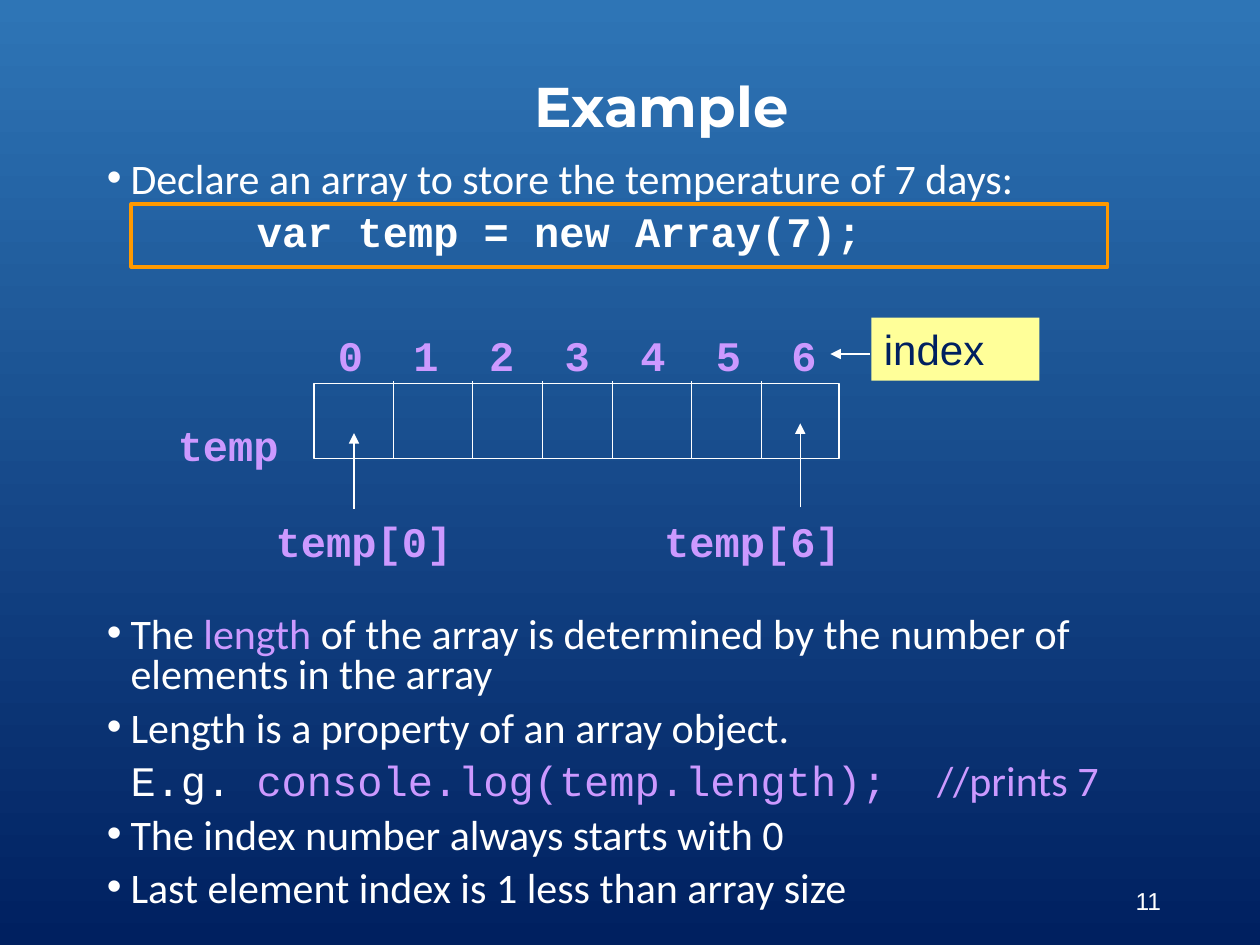
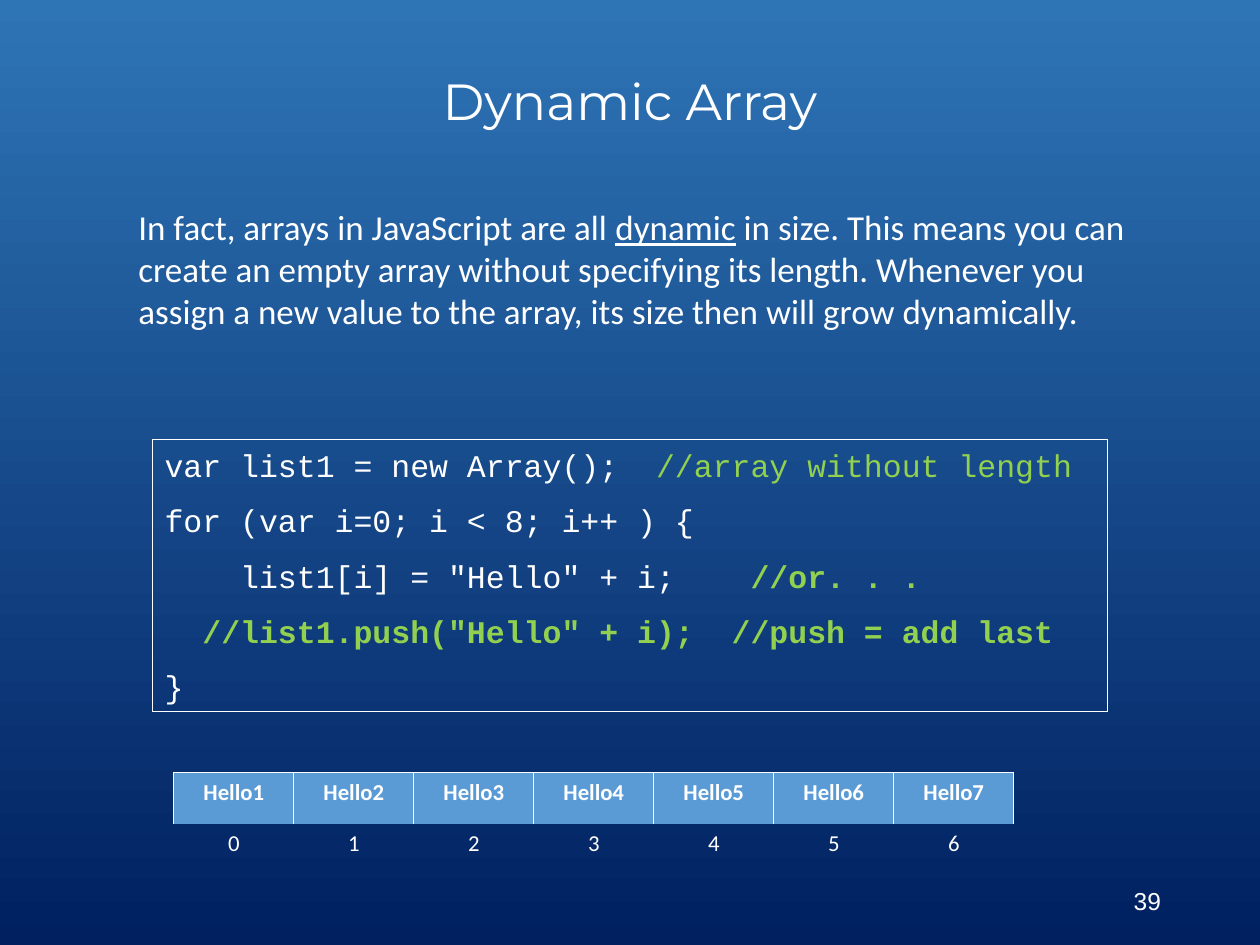
"""Build two lecture slides about array basics and dynamic arrays."""
from dataclasses import dataclass

from lxml import etree
from pptx import Presentation
from pptx.dml.color import RGBColor
from pptx.enum import shapes, text
from pptx.oxml import ns
from pptx.util import Pt


@dataclass(frozen=True)
class Theme:
    sky: RGBColor = RGBColor.from_string("2E75B6")
    navy: RGBColor = RGBColor.from_string("002060")
    white: RGBColor = RGBColor.from_string("FFFFFF")
    violet: RGBColor = RGBColor.from_string("CC99FF")
    orange: RGBColor = RGBColor.from_string("FF9900")
    yellow: RGBColor = RGBColor.from_string("FFFF99")
    green: RGBColor = RGBColor.from_string("92D050")
    blue: RGBColor = RGBColor.from_string("5B9BD5")
    heading: str = "Montserrat"
    body: str = "Calibri"
    code: str = "Courier New"
    label: str = "Arial"
    bold_title: int = 32
    plain_title: int = 29
    large: int = 24
    medium: int = 20
    listing: int = 18
    footer: int = 14
    small: int = 13


theme = Theme()


def add_frame(slide, bounds, fill=None, outline=None, weight=0.75):
    """Add a text box, or a rectangle if filled or outlined; return its text frame."""
    bounds = [Pt(length) for length in bounds]
    if fill is None and outline is None:
        shape = slide.shapes.add_textbox(*bounds)
    else:
        shape = slide.shapes.add_shape(shapes.MSO_SHAPE.RECTANGLE, *bounds)
        shape.shadow.inherit = False
        if fill is None:
            shape.fill.background()
        else:
            shape.fill.solid()
            shape.fill.fore_color.rgb = fill
        if outline is None:
            shape.line.fill.background()
        else:
            shape.line.color.rgb = outline
            shape.line.width = Pt(weight)
    frame = shape.text_frame
    frame.word_wrap = True
    frame.vertical_anchor = text.MSO_ANCHOR.TOP
    frame.paragraphs[0].alignment = text.PP_ALIGN.LEFT
    return frame


def add_run(paragraph, words, size, face=theme.body, color=theme.white, bold=False, underline=False):
    """Add one formatted run to a paragraph."""
    run = paragraph.add_run()
    run.text = words
    font = run.font
    font.size, font.name, font.bold, font.underline = Pt(size), face, bold, underline
    font.color.rgb = color


deck = Presentation()
deck.slide_width, deck.slide_height = Pt(720), Pt(540)

for heading, heading_size, heading_bold, heading_bounds, number in [
    ("Example", theme.bold_title, True, (102, 36, 552, 53), "11"),
    ("Dynamic Array", theme.plain_title, False, (0, 39.5, 720, 40), "39"),
]:
    slide = deck.slides.add_slide(deck.slide_layouts[6])
    backdrop = slide.background.fill
    backdrop.gradient()
    backdrop.gradient_angle = 270
    for stop, color in zip(backdrop.gradient_stops, (theme.sky, theme.navy)):
        stop.color.rgb = color
    title = add_frame(slide, heading_bounds)
    title.vertical_anchor = text.MSO_ANCHOR.MIDDLE
    title.paragraphs[0].alignment = text.PP_ALIGN.CENTER
    title.paragraphs[0].line_spacing = 0.9
    add_run(title.paragraphs[0], heading, heading_size, theme.heading, bold=heading_bold)
    footer = add_frame(slide, (508.5, 500.5, 162, 28.5))
    footer.vertical_anchor = text.MSO_ANCHOR.MIDDLE
    footer.paragraphs[0].alignment = text.PP_ALIGN.RIGHT
    add_run(footer.paragraphs[0], number, theme.footer, theme.label)

example, dynamic = deck.slides

points = add_frame(example, (54, 89, 630, 450))
white_body = (theme.body, theme.white)
violet_body = (theme.body, theme.violet)
for index, (bulleted, margin, space, runs) in enumerate([
    (True, 13.5, 0, [("Declare an array to store the temperature of 7 days:", *white_body)]),
    (False, 85.7, 7.5, [("var temp = new Array(7);", theme.code, theme.white, True)]),
    (True, 13.5, 206.5, [
        ("The ", *white_body),
        ("length", *violet_body),
        (" of the array is determined by the number of elements in the array", *white_body),
    ]),
    (True, 13.5, 7.5, [("Length is a property of an array object.", *white_body)]),
    (False, 13.5, 7.5, [
        ("E.g. ", theme.code, theme.white),
        ("console.log(temp.length);  ", theme.code, theme.violet),
        ("//prints 7", *violet_body),
    ]),
    (True, 13.5, 7.5, [("The index number always starts with 0", *white_body)]),
    (True, 13.5, 7.5, [("Last element index is 1 less than array size", *white_body)]),
]):
    point = points.add_paragraph() if index else points.paragraphs[0]
    settings = point._p.get_or_add_pPr()
    settings.set("marL", str(Pt(margin)))
    settings.set("indent", str(Pt(-13.5) if bulleted else 0))
    if bulleted:
        tint = etree.SubElement(settings, ns.qn("a:buClr"))
        etree.SubElement(tint, ns.qn("a:srgbClr"), val=str(theme.white))
        etree.SubElement(settings, ns.qn("a:buFont"), typeface=theme.label)
        etree.SubElement(settings, ns.qn("a:buChar"), char="•")
    point.line_spacing = 0.8
    point.space_before = Pt(space)
    for words, *style in runs:
        add_run(point, words, theme.large, *style)

indexes = add_frame(example, (186, 185, 294, 36)).paragraphs[0]
tabs = etree.SubElement(indexes._p.get_or_add_pPr(), ns.qn("a:tabLst"))
for step in range(1, 7):
    etree.SubElement(tabs, ns.qn("a:tab"), pos=str(Pt(43.2 * step)), algn="l")
add_run(indexes, "\t".join(str(i) for i in range(7)), theme.large, theme.code, theme.violet, True)

for words, left, top, width in [
    ("temp", 94.5, 236, 96),
    ("temp[0]", 150.5, 291, 138),
    ("temp[6]", 372.5, 291, 138),
]:
    name = add_frame(example, (left, top, width, 36)).paragraphs[0]
    add_run(name, words, theme.large, theme.code, theme.violet, True)

add_frame(example, (179.5, 219, 300, 43.2), outline=theme.white)
add_frame(example, (75, 116.5, 558, 36), outline=theme.orange, weight=2)
index_note = add_frame(example, (498, 181.5, 96, 36), fill=theme.yellow).paragraphs[0]
add_run(index_note, "index", theme.large, theme.label, theme.navy)

dividers = [(x, 218, x, 261.5, False) for x in (225, 270, 310, 350, 395, 435)]
pointers = [
    (202.3, 291, 202.3, 247.5, True),
    (457.3, 290, 457.3, 242, True),
    (497, 202.3, 474.5, 202.3, True),
]
for *ends, pointed in dividers + pointers:
    stroke = example.shapes.add_connector(shapes.MSO_CONNECTOR.STRAIGHT, *[Pt(end) for end in ends])
    stroke.line.color.rgb = theme.white
    stroke.line.width = Pt(0.75)
    outline = stroke._element.spPr
    if pointed:
        etree.SubElement(outline.find(ns.qn("a:ln")), ns.qn("a:tailEnd"), type="triangle")
    etree.SubElement(outline, ns.qn("a:effectLst"))

explanation = add_frame(dynamic, (24, 114, 630, 124.5)).paragraphs[0]
explanation._p.get_or_add_pPr().set("marL", str(Pt(48)))
add_run(explanation, "In fact, arrays in JavaScript are all ", theme.medium)
add_run(explanation, "dynamic", theme.medium, underline=True)
add_run(
    explanation,
    " in size. This means you can create an empty array without specifying its length. "
    "Whenever you assign a new value to the array, its size then will grow dynamically.",
    theme.medium,
)

listing = add_frame(dynamic, (87, 251.3, 546, 155.5), outline=theme.white)
for index, runs in enumerate([
    [("var list1 = new Array();  ", theme.white), ("//array without length", theme.green)],
    [("for (var i=0; i < 8; i++ ) {", theme.white)],
    [('    list1[i] = "Hello" + i;    ', theme.white), ("//or. . .", theme.green, True)],
    [('  //list1.push("Hello" + i);  //push = add last', theme.green, True)],
    [("}", theme.white)],
]):
    line = listing.add_paragraph() if index else listing.paragraphs[0]
    line.alignment = text.PP_ALIGN.LEFT
    line.space_before = Pt(10 if index else 0)
    for words, *style in runs:
        add_run(line, words, theme.listing, theme.code, *style)

columns = 7
grid = dynamic.shapes.add_table(2, columns, Pt(99.3), Pt(441.3), Pt(480), Pt(58.3)).table
grid.first_row = grid.horz_banding = False
grid.rows[0].height, grid.rows[1].height = Pt(29.5), Pt(28.8)
for column in range(columns):
    grid.columns[column].width = Pt(480 / columns)
    for row, words in enumerate((f"Hello{column + 1}", str(column))):
        cell = grid.cell(row, column)
        entry = cell.text_frame.paragraphs[0]
        entry.alignment = text.PP_ALIGN.CENTER
        add_run(entry, words, theme.small, bold=row == 0)
        edges = cell._tc.get_or_add_tcPr()
        for side in ("lnL", "lnR", "lnT", "lnB"):
            edge = etree.SubElement(edges, ns.qn(f"a:{side}"), w=str(Pt(0.45)))
            if row == 0 and side != "lnB":
                paint = etree.SubElement(edge, ns.qn("a:solidFill"))
                etree.SubElement(paint, ns.qn("a:srgbClr"), val=str(theme.white))
            else:
                etree.SubElement(edge, ns.qn("a:noFill"))
        if row == 0:
            cell.fill.solid()
            cell.fill.fore_color.rgb = theme.blue
        else:
            cell.fill.background()

deck.save("out.pptx")
